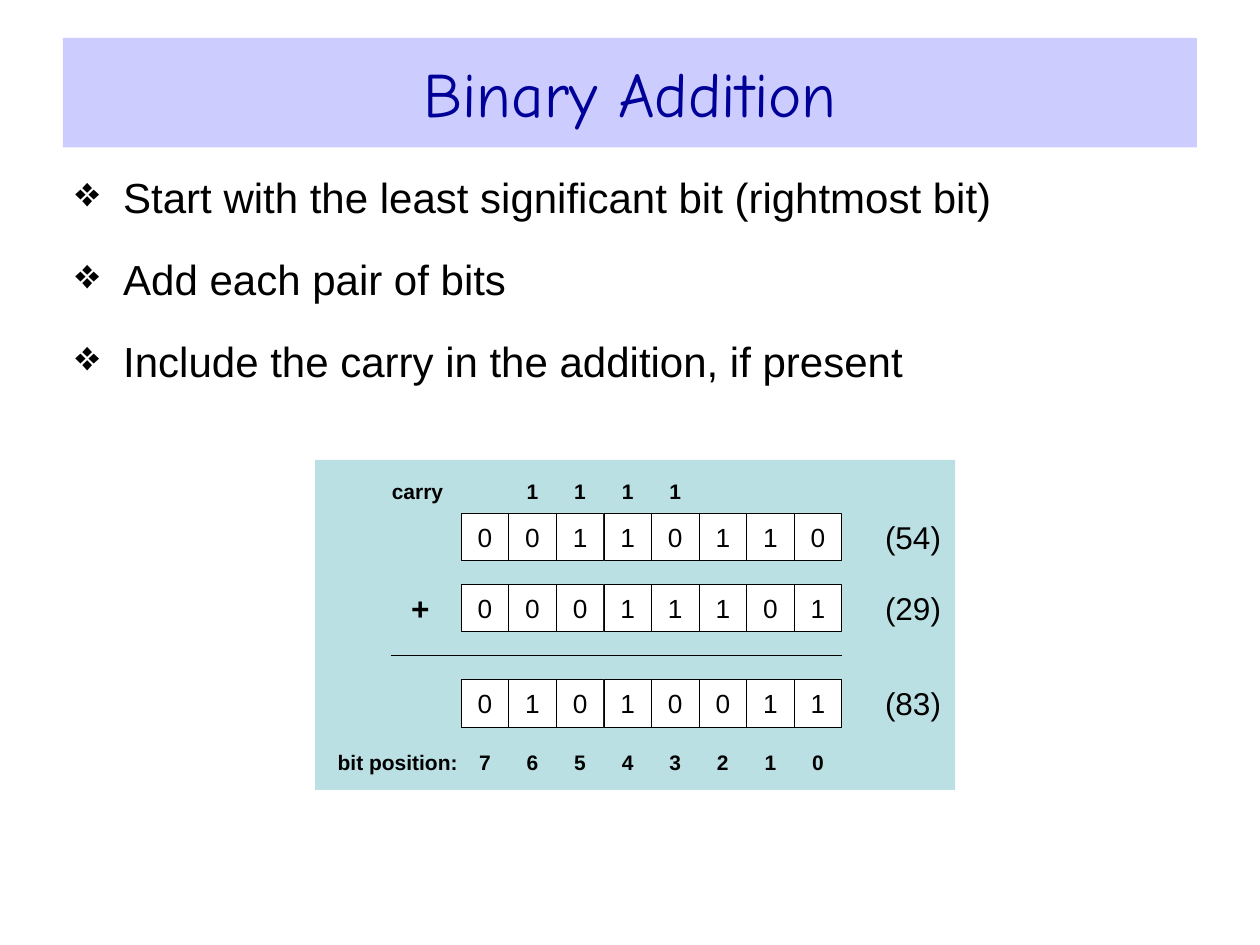
from lxml import etree
from pptx import Presentation, util as u
from pptx.dml.color import RGBColor
from pptx.enum import shapes, text
from pptx.oxml.ns import qn

THEME = {
    "banner": "CCCCFF", "title": "000099", "panel": "BBE0E3",
    "cell": "FFFFFF", "ink": "000000",
    "title_font": "Comic Neue", "font": "Arial",
    "title_size": 36, "body_size": 24, "value_size": 18, "bit_size": 15, "label_size": 12,
}
BULLETS = [
    "Start with the least significant bit (rightmost bit)",
    "Add each pair of bits",
    "Include the carry in the addition, if present",
]
# Row offsets are in cells, measured from the top of the first number
NUMBERS = [(0, "00110110", "(54)"), (1.5, "00011101", "(29)"), (3.5, "01010011", "(83)")]
SUM_RULE_ROW = 3
CARRY_ROW, POSITION_ROW = -0.96, 4.74
CARRIES = {1: "1", 2: "1", 3: "1", 4: "1"}
BITS = 8
GRID_LEFT, GRID_TOP, CELL = 3.66, 4.07, 3.02 / BITS

presentation = Presentation()
presentation.slide_width, presentation.slide_height = u.Inches(10), u.Inches(7.5)
slide = presentation.slides.add_slide(presentation.slide_layouts[6])


def add_box(left, top, width, height, fill=None, outlined=False):
    """Add a flat rectangle, in inches, with no text margins."""
    shape = slide.shapes.add_shape(
        shapes.MSO_SHAPE.RECTANGLE, *map(u.Inches, (left, top, width, height)))
    shape.shadow.inherit = False
    if fill:
        shape.fill.solid()
        shape.fill.fore_color.rgb = RGBColor.from_string(THEME[fill])
    else:
        shape.fill.background()
    if outlined:
        shape.line.color.rgb = RGBColor.from_string(THEME["ink"])
        shape.line.width = u.Pt(0.37)
    else:
        shape.line.fill.background()
    frame = shape.text_frame
    frame.margin_left = frame.margin_right = frame.margin_top = frame.margin_bottom = 0
    frame.vertical_anchor = text.MSO_ANCHOR.MIDDLE
    frame.word_wrap = False
    return shape


def write(paragraph, words, size, color="ink", font="font", bold=False,
          align=text.PP_ALIGN.CENTER):
    paragraph.text = words
    paragraph.alignment = align
    paragraph.font.name = THEME[font]
    paragraph.font.size = u.Pt(THEME[size])
    paragraph.font.bold = bold
    paragraph.font.color.rgb = RGBColor.from_string(THEME[color])


# Title and bullets
banner = add_box(0.5, 0.3, 9, 0.87, "banner")
write(banner.text_frame.paragraphs[0], "Binary Addition", "title_size", "title", "title_font")

body = slide.shapes.add_textbox(*map(u.Inches, (0.5, 1.31, 9, 2))).text_frame
body.word_wrap = True
for index, words in enumerate(BULLETS):
    paragraph = body.add_paragraph() if index else body.paragraphs[0]
    write(paragraph, words, "body_size", align=text.PP_ALIGN.LEFT)
    paragraph.space_before = u.Pt(18)
    properties = paragraph._p.get_or_add_pPr()
    properties.set("marL", str(u.Inches(0.38)))
    properties.set("indent", str(-u.Inches(0.38)))
    bullet = etree.Element(qn("a:buChar"), char="❖")
    properties.find(qn("a:spcBef")).addnext(bullet)

# Worked sum
add_box(2.5, 3.65, 5.08, 2.62, "panel")
for row, bits, value in NUMBERS:
    top = GRID_TOP + row * CELL
    for column, bit in enumerate(bits):
        cell = add_box(GRID_LEFT + column * CELL, top, CELL, CELL, "cell", outlined=True)
        write(cell.text_frame.paragraphs[0], bit, "bit_size")
    value_box = add_box(GRID_LEFT + 9 * CELL, top, CELL, CELL)
    write(value_box.text_frame.paragraphs[0], value, "value_size")

plus = add_box(GRID_LEFT - 1.36 * CELL, GRID_TOP + 1.5 * CELL, CELL, CELL)
write(plus.text_frame.paragraphs[0], "+", "value_size", bold=True)

rule_y = u.Inches(GRID_TOP + SUM_RULE_ROW * CELL)
sum_rule = slide.shapes.add_connector(
    shapes.MSO_CONNECTOR.STRAIGHT,
    u.Inches(3.1), rule_y, u.Inches(GRID_LEFT + BITS * CELL), rule_y)
sum_rule.line.color.rgb = RGBColor.from_string(THEME["ink"])
sum_rule.line.width = u.Pt(1.13)
etree.SubElement(sum_rule._element.spPr, qn("a:effectLst"))

# Carry and bit position rows
positions = {column: str(BITS - 1 - column) for column in range(BITS)}
for row, name, left, width, digits in [
    (CARRY_ROW, "carry", 3.11, 0.51, CARRIES),
    (POSITION_ROW, "bit position:", 2.68, 0.95, positions),
]:
    top = GRID_TOP + row * CELL
    label = add_box(left, top, width, CELL)
    write(label.text_frame.paragraphs[0], name, "label_size", bold=True,
          align=text.PP_ALIGN.LEFT)
    for column, digit in digits.items():
        digit_box = add_box(GRID_LEFT + column * CELL, top, CELL, CELL)
        write(digit_box.text_frame.paragraphs[0], digit, "label_size", bold=True)

presentation.save("out.pptx")
